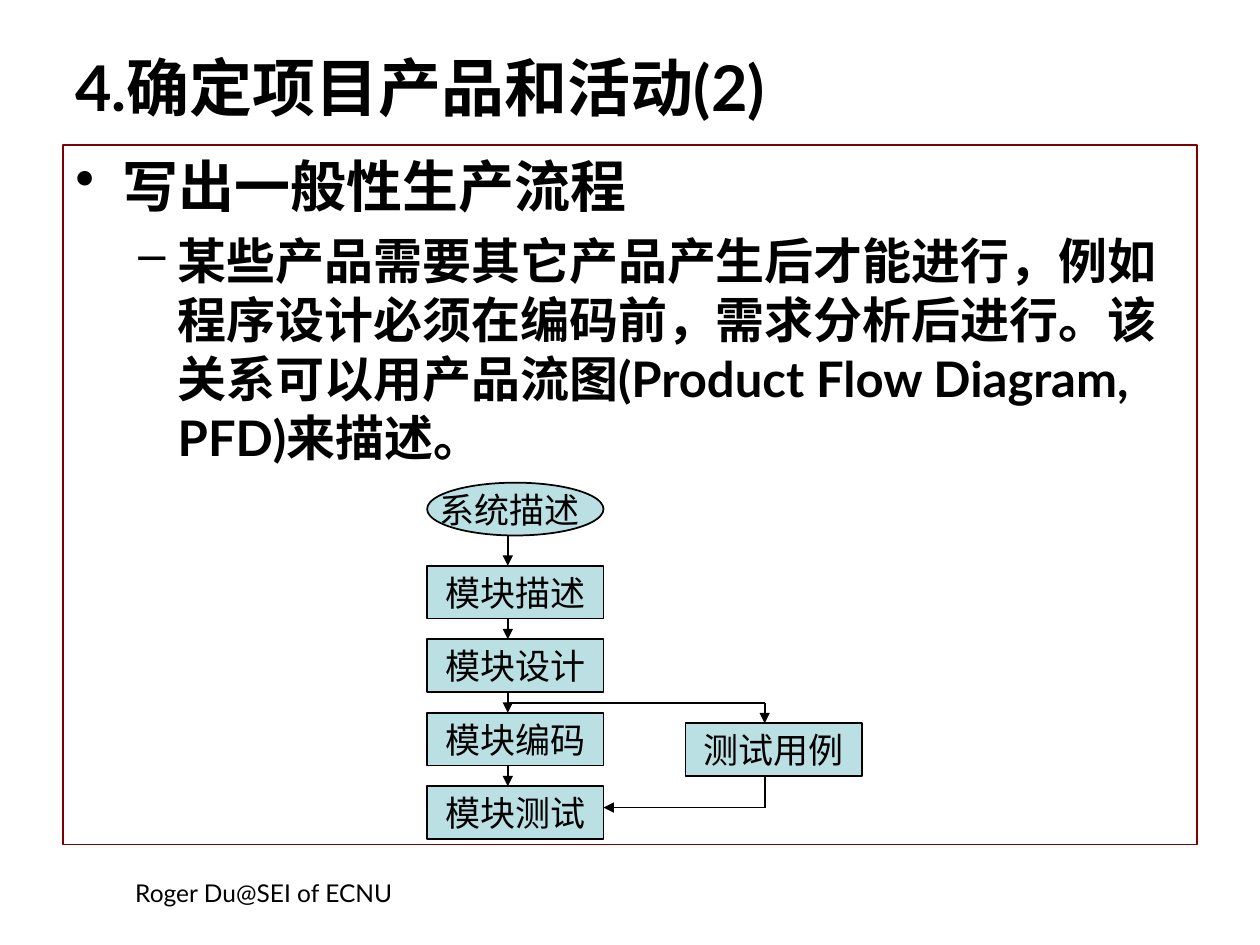
from dataclasses import dataclass

from pptx import Presentation
from pptx.dml.color import RGBColor
from pptx.enum.shapes import MSO_CONNECTOR, MSO_SHAPE
from pptx.enum.text import MSO_ANCHOR, PP_ALIGN
from pptx.oxml.ns import qn
from pptx.util import Pt
from lxml import etree

RECTANGLE, OVAL = MSO_SHAPE.RECTANGLE, MSO_SHAPE.OVAL
STRAIGHT = MSO_CONNECTOR.STRAIGHT
LEFT, CENTER = PP_ALIGN.LEFT, PP_ALIGN.CENTER
TOP, MIDDLE = MSO_ANCHOR.TOP, MSO_ANCHOR.MIDDLE

BLACK, MAROON, PALE_TEAL = "000000", "800000", "BBE0E3"
NODE_WIDTH, NODE_HEIGHT = 100.8, 30.2
MAIN_LEFT, BRANCH_LEFT = 244.1, 391.7
MAIN_AXIS, BRANCH_AXIS = 290.2, 437
STEP_TOP, STEP_PITCH = 323.3, 42
SYSTEM_TOP, TEST_CASE_TOP = 275.8, 413.3
SPLIT_Y, RETURN_Y = 401.8, 461.5


@dataclass(frozen=True)
class Node:
    """One product in the flow diagram."""
    label: str
    left: float
    top: float
    outline: MSO_SHAPE = RECTANGLE
    right_inset: float = 0

    @property
    def bottom(self) -> float:
        return self.top + NODE_HEIGHT


@dataclass(frozen=True)
class Flow:
    """One straight stretch of a dependency."""
    start: tuple[float, float]
    end: tuple[float, float]
    arrow: bool = True


@dataclass(frozen=True)
class Bullet:
    """One bulleted paragraph of the body."""
    wording: str
    mark: str
    level: int
    size: float
    before: float
    indent: float
    hanging: float


def color(hex_value: str) -> RGBColor:
    """Turn a hex string into a colour."""
    return RGBColor.from_string(hex_value)


def style_runs(paragraph, size: float, font: str = "Lato", bold: bool = False) -> None:
    """Format every run of a paragraph."""
    for run in paragraph.runs:
        run.font.size = Pt(size)
        run.font.name = font
        run.font.bold = bold
        run.font.color.rgb = color(BLACK)


def add_label(slide, wording: str, box: tuple, size: float, bold: bool, align: PP_ALIGN) -> None:
    """Add a wrapped one-paragraph text box."""
    frame = slide.shapes.add_textbox(*map(Pt, box)).text_frame
    frame.word_wrap = True
    frame.vertical_anchor = MIDDLE
    frame.text = wording
    frame.paragraphs[0].alignment = align
    style_runs(frame.paragraphs[0], size, bold=bold)


def add_bullet(paragraph, bullet: Bullet) -> None:
    """Fill a paragraph and give it a hanging bullet."""
    paragraph.text = bullet.wording
    paragraph.level = bullet.level
    paragraph.alignment = LEFT
    paragraph.space_before = Pt(bullet.before)
    style_runs(paragraph, bullet.size, bold=True)
    properties = paragraph._p.get_or_add_pPr()
    properties.set("marL", str(Pt(bullet.indent)))
    properties.set("indent", str(-Pt(bullet.hanging)))
    mark_color = etree.SubElement(properties, qn("a:buClr"))
    etree.SubElement(mark_color, qn("a:srgbClr"), val=BLACK)
    etree.SubElement(properties, qn("a:buChar"), char=bullet.mark)


def add_body(slide, bullets: list[Bullet]) -> None:
    """Add the framed body text."""
    body = slide.shapes.add_shape(RECTANGLE, Pt(36), Pt(82.8), Pt(648), Pt(399.6))
    body.shadow.inherit = False
    body.fill.background()
    body.line.color.rgb = color(MAROON)
    body.line.width = Pt(0.75)
    frame = body.text_frame
    frame.word_wrap = True
    frame.vertical_anchor = TOP
    for index, bullet in enumerate(bullets):
        add_bullet(frame.add_paragraph() if index else frame.paragraphs[0], bullet)


def add_node(slide, node: Node) -> None:
    """Draw a product with its label."""
    product = slide.shapes.add_shape(
        node.outline, Pt(node.left), Pt(node.top), Pt(NODE_WIDTH), Pt(NODE_HEIGHT))
    product.shadow.inherit = False
    product.fill.solid()
    product.fill.fore_color.rgb = color(PALE_TEAL)
    product.line.color.rgb = color(BLACK)
    product.line.width = Pt(1)
    frame = product.text_frame
    frame.word_wrap = False
    frame.vertical_anchor = MIDDLE
    frame.margin_left = frame.margin_top = frame.margin_bottom = 0
    frame.margin_right = Pt(node.right_inset)
    frame.text = node.label
    frame.paragraphs[0].alignment = CENTER
    style_runs(frame.paragraphs[0], 20, "Times New Roman")


def add_flow(slide, flow: Flow) -> None:
    """Draw a dependency line, with an arrowhead where asked."""
    link = slide.shapes.add_connector(STRAIGHT, *map(Pt, flow.start + flow.end))
    link.line.color.rgb = color(BLACK)
    link.line.width = Pt(1)
    if flow.arrow:
        etree.SubElement(link.line._get_or_add_ln(), qn("a:tailEnd"), type="triangle")
    etree.SubElement(link._element.spPr, qn("a:effectLst"))


def main() -> None:
    """Build the slide and save it."""
    deck = Presentation()
    deck.slide_width, deck.slide_height = Pt(720), Pt(540)
    slide = deck.slides.add_slide(deck.slide_layouts[6])

    add_label(slide, "Roger Du@SEI of ECNU", (36.7, 496.8, 228.2, 26.6), 14, False, CENTER)
    add_label(slide, "4.确定项目产品和活动(2)", (36, 21.6, 648, 55.4), 36, True, LEFT)
    add_body(slide, [
        Bullet("写出一般性生产流程", "•", 0, 32, 8, 27, 27),
        Bullet("某些产品需要其它产品产生后才能进行，例如程序设计必须在编码前，"
               "需求分析后进行。该关系可以用产品流图(Product Flow Diagram, PFD)来描述。",
               "–", 1, 28, 7, 58.5, 22.5),
    ])

    system = Node("系统描述", MAIN_LEFT, SYSTEM_TOP, OVAL, 6)
    steps = [Node(label, MAIN_LEFT, STEP_TOP + index * STEP_PITCH)
             for index, label in enumerate(["模块描述", "模块设计", "模块编码", "模块测试"])]
    test_case = Node("测试用例", BRANCH_LEFT, TEST_CASE_TOP)
    sequence = [system, *steps]
    for node in [*sequence, test_case]:
        add_node(slide, node)

    flows = [Flow((MAIN_AXIS, before.bottom), (MAIN_AXIS, after.top))
             for before, after in zip(sequence, steps)]
    flows += [
        Flow((MAIN_AXIS, SPLIT_Y), (BRANCH_AXIS, SPLIT_Y), arrow=False),
        Flow((BRANCH_AXIS, SPLIT_Y), (BRANCH_AXIS, test_case.top)),
        Flow((BRANCH_AXIS, test_case.bottom), (BRANCH_AXIS, RETURN_Y), arrow=False),
        Flow((BRANCH_AXIS, RETURN_Y), (MAIN_LEFT + NODE_WIDTH, RETURN_Y)),
    ]
    for flow in flows:
        add_flow(slide, flow)

    deck.save("out.pptx")


if __name__ == "__main__":
    main()
